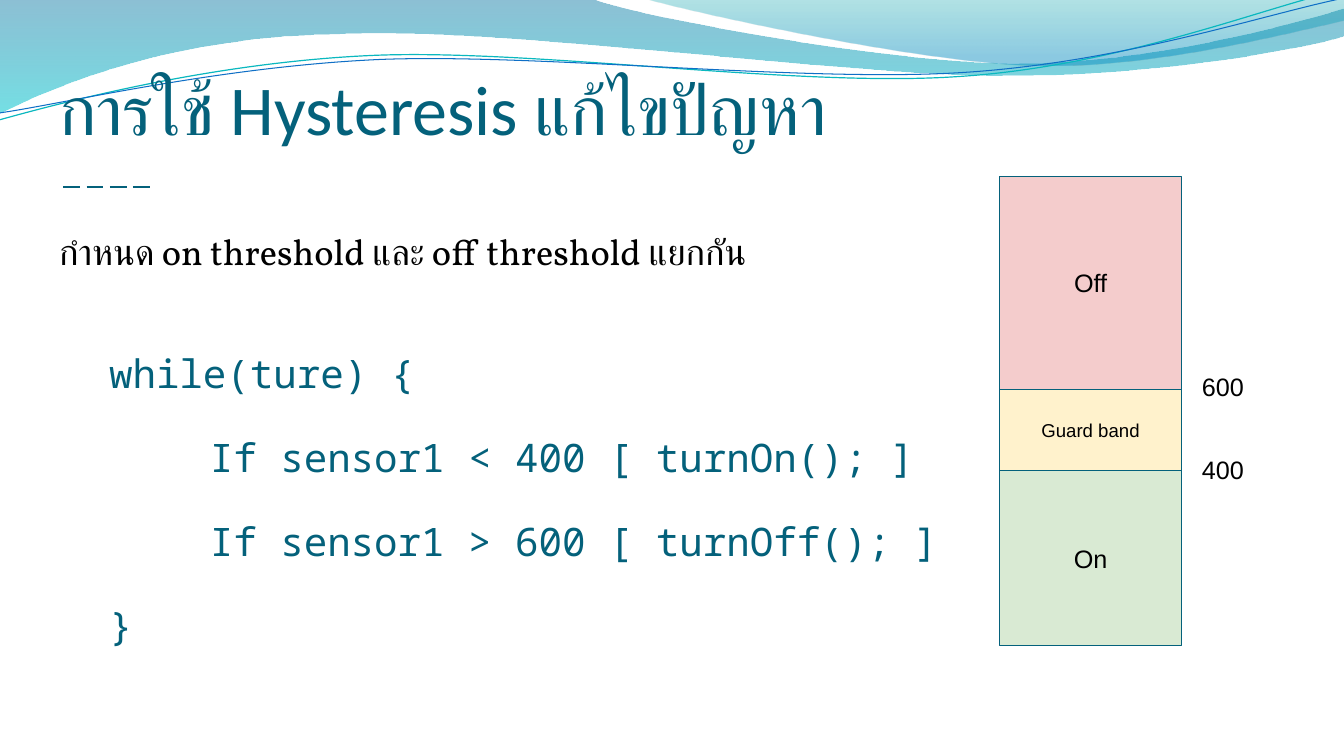
"""Build the slide on using hysteresis, with separate on and off thresholds."""
from lxml import etree
from pptx import Presentation
from pptx.dml.color import RGBColor
from pptx.enum.dml import MSO_LINE
from pptx.enum.shapes import MSO_CONNECTOR, MSO_SHAPE
from pptx.enum.text import MSO_ANCHOR, MSO_AUTO_SIZE, PP_ALIGN
from pptx.oxml.ns import qn
from pptx.util import Cm, Pt

STRAIGHT = MSO_CONNECTOR.STRAIGHT
RECTANGLE = MSO_SHAPE.RECTANGLE
LONG_DASH = MSO_LINE.LONG_DASH
TOP, MIDDLE, BOTTOM = MSO_ANCHOR.TOP, MSO_ANCHOR.MIDDLE, MSO_ANCHOR.BOTTOM
LEFT, CENTER = PP_ALIGN.LEFT, PP_ALIGN.CENTER
NO_FIT = MSO_AUTO_SIZE.NONE

BLACK = RGBColor(0x00, 0x00, 0x00)
DARK_TEAL = RGBColor(0x04, 0x61, 0x7B)
DEEP_BLUE = RGBColor(0x00, 0x74, 0xA1)
CYAN = RGBColor(0x00, 0xC6, 0xCF)
SEA_GREEN = RGBColor(0x00, 0xA1, 0xA9)
SKY_BLUE = RGBColor(0x00, 0x8B, 0xBF)
TURQUOISE = RGBColor(0x0A, 0xB8, 0xBF)
BLUE = RGBColor(0x0F, 0x6F, 0xC6)
PINK = RGBColor(0xF4, 0xCC, 0xCC)
YELLOW = RGBColor(0xFF, 0xF2, 0xCC)
GREEN = RGBColor(0xD9, 0xEA, 0xD3)

CM_PER_INCH = 2.54


def add_wave(shapes, start, segments, closed):
    """Draw line segments (2 numbers) and Bezier segments (6 numbers), in inches."""
    points = [start]
    for segment in segments:
        points.extend(zip(segment[::2], segment[1::2]))
    corners = [(Cm(x * CM_PER_INCH), Cm(y * CM_PER_INCH)) for x, y in points]
    builder = shapes.build_freeform(*corners[0])
    builder.add_line_segments(corners[1:], close=closed)
    wave = builder.convert_to_shape()
    wave.shadow.inherit = False
    line_elements = iter(list(wave._element.spPr.iter(qn("a:lnTo"))))
    for segment in segments:
        first = next(line_elements)
        if len(segment) == 6:
            curve = etree.Element(qn("a:cubicBezTo"))
            first.addprevious(curve)
            for line_element in (first, next(line_elements), next(line_elements)):
                curve.append(line_element[0])
                line_element.getparent().remove(line_element)
    return wave


def write_text(shape, lines, font_name, size, color, anchor=TOP, align=LEFT):
    """Fill a shape with formatted lines and return its paragraphs."""
    frame = shape.text_frame
    frame.word_wrap = True
    frame.auto_size = NO_FIT
    frame.vertical_anchor = anchor
    frame.margin_left = frame.margin_right = frame.margin_top = frame.margin_bottom = Cm(0.34)
    for index, line in enumerate(lines):
        paragraph = frame.add_paragraph() if index else frame.paragraphs[0]
        paragraph.alignment = align
        run = paragraph.add_run()
        run.text = line
        run.font.name = font_name
        run.font.size = Pt(size)
        run.font.color.rgb = color
        run.font._element.set("kern", "0")
        complex_script = etree.SubElement(run.font._element, qn("a:cs"))
        complex_script.set("typeface", font_name)
    return frame.paragraphs


presentation = Presentation()
presentation.slide_width = Cm(33.87)
presentation.slide_height = Cm(19.05)
slide = presentation.slides.add_slide(presentation.slide_layouts[5])
shapes = slide.shapes
title = shapes.title

filled_waves = [
    ((0, 0), [(5.87, -0.01), (6.34, 0.17, 8.85, 0.63, 10.11, 0.63),
              (11.38, 0.63, 12.78, 0.26, 13.33, 0.09), (13.35, 0.36),
              (13.11, 0.44, 11.6, 0.76, 9.94, 0.75), (8.29, 0.75, 5.09, 0.28, 3.43, 0.34),
              (1.72, 0.36, 0.61, 0.83, -0.01, 1.13)],
     [(0, DEEP_BLUE, 45), (1, CYAN, 55)]),
    ((6.39, -0.01), [(6.79, 0.11, 9.09, 0.62, 10.25, 0.65),
                     (11.41, 0.69, 12.82, 0.32, 13.33, 0.21), (13.33, 0)],
     [(0, SEA_GREEN, 30), (0.8, SKY_BLUE, 45)]),
]
for start, segments, stops in filled_waves:
    wave = add_wave(shapes, start, segments, True)
    wave.line.fill.background()
    wave.fill.gradient()
    wave.fill.gradient_angle = 270
    for stop, (position, color, opacity) in zip(wave.fill.gradient_stops, stops):
        stop.position = position
        stop.color.rgb = color
    for color_element, (_, _, opacity) in zip(wave._element.spPr.iter(qn("a:srgbClr")), stops):
        etree.SubElement(color_element, qn("a:alpha")).set("val", str(opacity * 1000))

wave_lines = [
    ((-0.01, 1.19), [(0.64, 1.01, 2.11, 0.62, 3.69, 0.55), (5.27, 0.48, 7.9, 0.87, 9.5, 0.76),
                     (11.1, 0.66, 12.52, 0.08, 13.31, -0.1)], TURQUOISE, 0.85),
    ((0, 1.12), [(0.63, 1.03, 2.18, 0.66, 3.78, 0.59), (5.37, 0.53, 7.96, 0.82, 9.55, 0.72),
                 (11.15, 0.62, 12.55, 0.14, 13.34, -0.02)], BLUE, 0.75),
]
for start, segments, color, width in wave_lines:
    wave = add_wave(shapes, start, segments, False)
    wave.fill.background()
    wave.line.color.rgb = color
    wave.line.width = Pt(width)

title_rule = shapes.add_connector(STRAIGHT, Cm(1.6), Cm(4.72), Cm(3.86), Cm(4.72))
title_rule.line.color.rgb = DARK_TEAL
title_rule.line.width = Pt(1.5)
title_rule.line.dash_style = LONG_DASH
etree.SubElement(title_rule._element.spPr, qn("a:effectLst"))

title.left, title.top, title.width, title.height = Cm(1.15), Cm(1.38), Cm(31.55), Cm(2.72)
write_text(title, ["การใช้ Hysteresis แก้ไขปัญหา"], "Calibri", 50, DARK_TEAL, BOTTOM)
shapes._spTree.append(title._element)

summary = shapes.add_textbox(Cm(1.15), Cm(5.44), Cm(31.55), Cm(2))
write_text(summary, ["กำหนด on threshold และ off threshold แยกกัน"], "Vollkorn", 26, BLACK)

code_lines = [
    "while(ture) {",
    "\tIf sensor1 < 400 [ turnOn(); ]",
    "\tIf sensor1 > 600 [ turnOff(); ]",
    "}",
]
code = shapes.add_textbox(Cm(2.41), Cm(6.93), Cm(29.03), Cm(11.1))
code_paragraphs = write_text(code, code_lines, "Noto Sans Mono", 28, DARK_TEAL, MIDDLE)
for index, paragraph in enumerate(code_paragraphs):
    paragraph.line_spacing = 1.15
    if index:
        paragraph.space_before = Pt(21.3)
code_paragraphs[-1].space_after = Pt(21.3)
for paragraph in code_paragraphs[1:3]:
    tab_list = etree.SubElement(paragraph._p.get_or_add_pPr(), qn("a:tabLst"))
    tab_stop = etree.SubElement(tab_list, qn("a:tab"))
    tab_stop.set("pos", str(Cm(2.54)))
    tab_stop.set("algn", "l")

band_top = 4.44
for label, height, color, size in [("Off", 5.37, PINK, 18), ("Guard band", 2.05, YELLOW, 13.3),
                                   ("On", 4.4, GREEN, 18)]:
    band = shapes.add_shape(RECTANGLE, Cm(25.2), Cm(band_top), Cm(4.57), Cm(height))
    band.shadow.inherit = False
    band.fill.solid()
    band.fill.fore_color.rgb = color
    band.line.color.rgb = DARK_TEAL
    band.line.width = Pt(0.75)
    write_text(band, [label], "Arial", size, BLACK, MIDDLE, CENTER)
    band_top += height

for threshold, top in [("400", 11.12), ("600", 9.02)]:
    label_box = shapes.add_textbox(Cm(29.95), Cm(top), Cm(2.13), Cm(1.8))
    write_text(label_box, [threshold], "Arial", 18, BLACK)

presentation.save("out.pptx")
